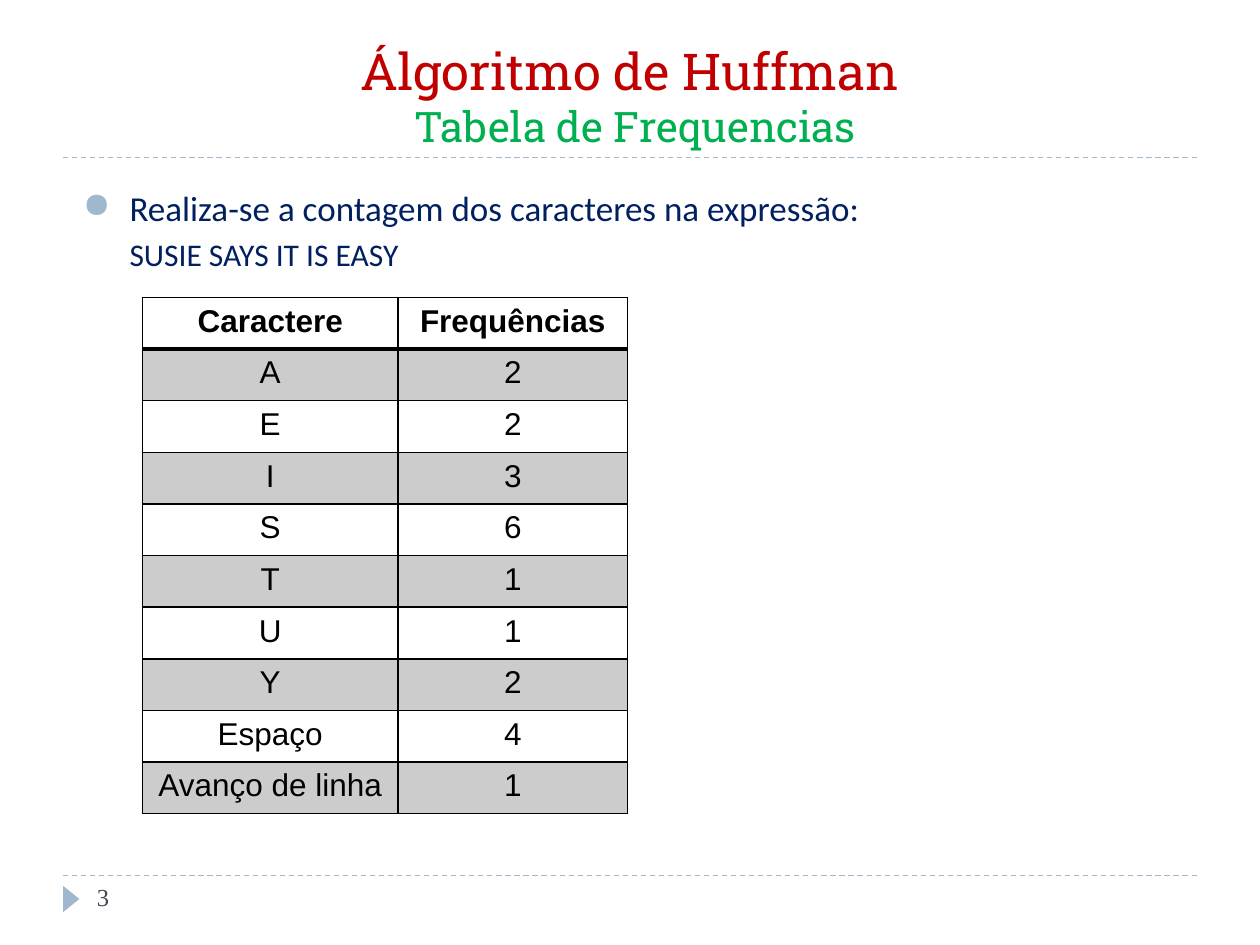
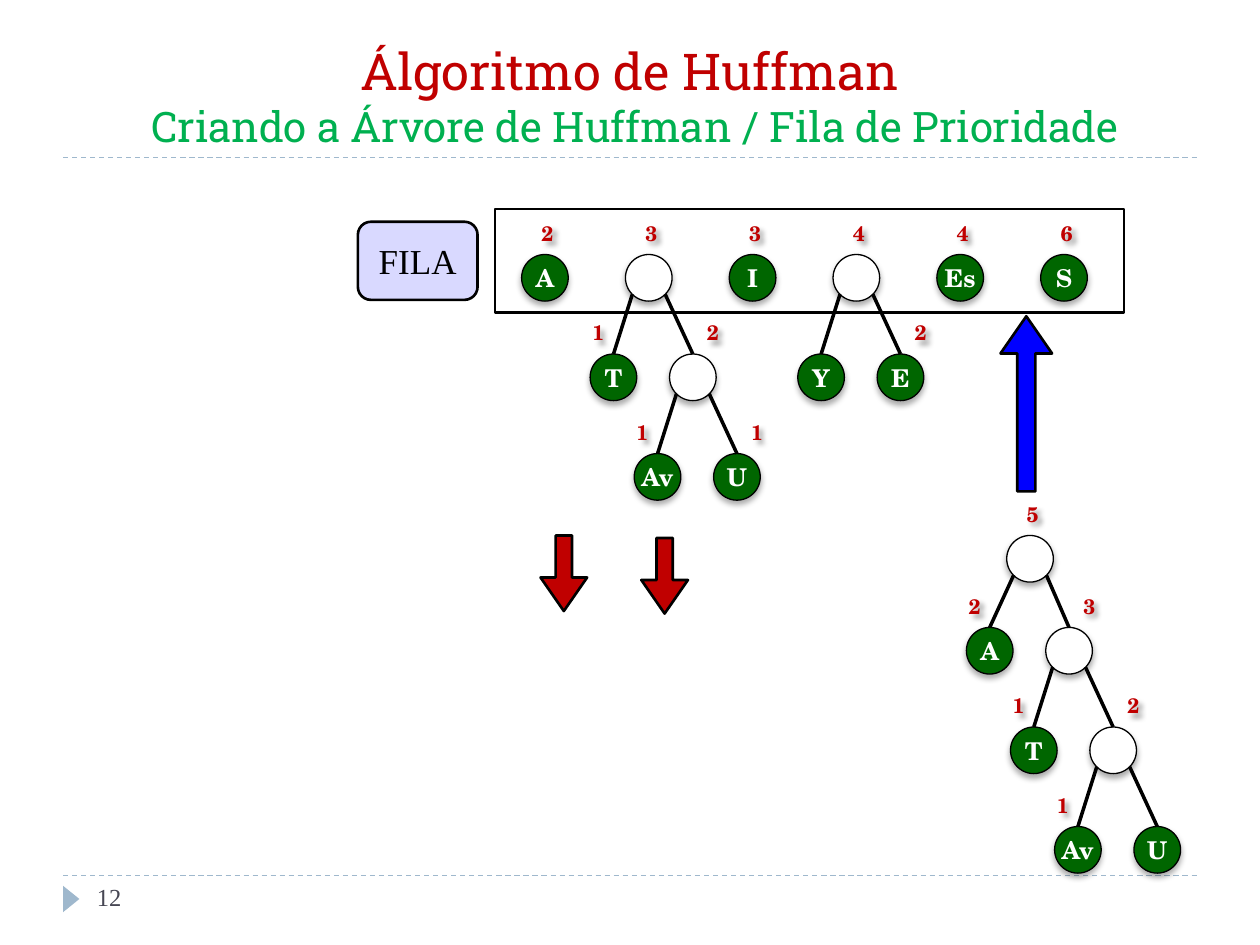
from lxml import etree
from pptx import Presentation
from pptx.dml.color import RGBColor
from pptx.enum.dml import MSO_LINE
from pptx.enum.shapes import MSO_CONNECTOR, MSO_SHAPE
from pptx.enum.text import MSO_ANCHOR, PP_ALIGN
from pptx.oxml.ns import qn
from pptx.util import Inches, Pt

STRAIGHT, DASH = MSO_CONNECTOR.STRAIGHT, MSO_LINE.DASH
RECT, OVAL, TRIANGLE = MSO_SHAPE.RECTANGLE, MSO_SHAPE.OVAL, MSO_SHAPE.ISOSCELES_TRIANGLE
DOWN_ARROW, ROUNDED = MSO_SHAPE.DOWN_ARROW, MSO_SHAPE.FLOWCHART_ALTERNATE_PROCESS
CENTER, LEFT, JUSTIFY = PP_ALIGN.CENTER, PP_ALIGN.LEFT, PP_ALIGN.JUSTIFY
TOP, MIDDLE, BOTTOM = MSO_ANCHOR.TOP, MSO_ANCHOR.MIDDLE, MSO_ANCHOR.BOTTOM

# Content
TITLE = "Álgoritmo de Huffman"
SUBTITLES = [" Tabela de Frequencias", " Criando a Árvore de Huffman / Fila de Prioridade"]
BODY = ["Realiza-se a contagem dos caracteres na expressão:", "SUSIE SAYS IT IS EASY"]
FREQUENCIES = [
    ("Caractere", "Frequências"), ("A", "2"), ("E", "2"), ("I", "3"), ("S", "6"),
    ("T", "1"), ("U", "1"), ("Y", "2"), ("Espaço", "4"), ("Avanço de linha", "1"),
]
# A node is (letter, weight) or (letter, weight, left child, right child)
AV_U = ("", "2", ("Av", "1"), ("U", "1"))
T_AV_U = ("", "3", ("T", "1"), AV_U)
QUEUE = [("A", "2"), T_AV_U, ("I", "3"), ("", "4", ("Y", ""), ("E", "2")),
         ("Es", "4"), ("S", "6")]
MERGED = ("", "5", ("A", "2"), ("", "3", ("T", "1"), ("", "2", ("Av", "1"), ("U", ""))))

# Style
BLACK, WHITE, GREY, RED, GREEN, ACCENT = "000000", "FFFFFF", "CCCCCC", "C00000", "00B050", "9FB8CD"
NODE_GREEN, BLUE, PALE_BLUE = "006600", "0000FF", "D9D9FF"
TITLE_FMT = dict(size=29, name="Roboto Slab", color=RED)
SUB_FMT = dict(size=24, name="Roboto Slab", color=GREEN)
NUMBER_FMT = dict(size=14, name="Times New Roman", color="464653")
BODY_FMT = dict(size=20, name="Calibri", color="002060")
CELL_FMT = dict(size=18, name="Arial", color=BLACK, bold=False)
NODE_FMT = dict(size=14, name="TeX Gyre Schola", color=WHITE, bold=True)
WEIGHT_FMT = dict(NODE_FMT, size=12, color=RED)
QUEUE_FMT = dict(size=20, name="Times New Roman", color=BLACK)

# Geometry in inches
W, H, MARGIN = 10, 7.5, 0.5
RULES = (1.25, 6.95)
NODE = 0.37
LABEL_W, LABEL_H, LABEL_UP, LABEL_OUT = 0.41, 0.3, 0.32, 0.14
LEVEL, LEFT_STEP, RIGHT_STEP = 0.79, -0.28, 0.35
QUEUE_X, QUEUE_Y = 4.14, 2.02
QUEUE_STEP = (8.26 - QUEUE_X) / (len(QUEUE) - 1)


def rgb(color):
    return RGBColor.from_string(color)


def inches(*values):
    return [Inches(v) for v in values]


def add_run(p, text, fmt):
    r = p.add_run()
    r.text = text
    for key, value in fmt.items():
        if key == "color":
            r.font.color.rgb = rgb(value)
        else:
            setattr(r.font, key, Pt(value) if key == "size" else value)


def set_frame(tf, anchor=TOP, inset=None):
    tf.word_wrap = True
    tf.vertical_anchor = anchor
    if inset is not None:
        for side in ("left", "top", "right", "bottom"):
            setattr(tf, f"margin_{side}", Inches(inset))


def add_text(shapes, at, text, fmt, align=LEFT, anchor=TOP):
    sp = shapes.add_textbox(*inches(*at))
    set_frame(sp.text_frame, anchor)
    p = sp.text_frame.paragraphs[0]
    p.alignment = align
    add_run(p, text, fmt)
    return sp


def add_shape(shapes, kind, at, fill=None, line=None, width=1.5, adj=()):
    sp = shapes.add_shape(kind, *inches(*at))
    sp.shadow.inherit = False
    if fill:
        sp.fill.solid()
        sp.fill.fore_color.rgb = rgb(fill)
    else:
        sp.fill.background()
    if line:
        sp.line.color.rgb = rgb(line)
        sp.line.width = Pt(width)
    else:
        sp.line.fill.background()
    for i, value in enumerate(adj):
        sp.adjustments[i] = value
    return sp


def add_line(shapes, start, end, color, width):
    cx = shapes.add_connector(STRAIGHT, *inches(*start, *end))
    cx.line.color.rgb = rgb(color)
    cx.line.width = Pt(width)
    etree.SubElement(cx._element.spPr, qn("a:effectLst"))
    return cx


def add_shadow(sp, alpha, blur, dist, angle):
    sp.shadow.inherit = False
    effects = sp._element.spPr.find(qn("a:effectLst"))
    shadow = etree.SubElement(effects, qn("a:outerShdw"), blurRad=str(Pt(blur)),
                              dist=str(Pt(dist)), dir=str(angle * 60000), rotWithShape="0")
    color = etree.SubElement(shadow, qn("a:srgbClr"), val=BLACK)
    etree.SubElement(color, qn("a:alpha"), val=str(alpha * 1000))


def add_border(cell, side, width):
    ln = etree.SubElement(cell._tc.get_or_add_tcPr(), qn(f"a:ln{side}"), w=str(Pt(width)))
    fill = etree.SubElement(ln, qn("a:solidFill"))
    etree.SubElement(fill, qn("a:srgbClr"), val=BLACK)


def add_base(prs, subtitle, number):
    """Slide with title, dashed rules and page marker."""
    s = prs.slides.add_slide(prs.slide_layouts[6])
    for y in RULES:
        add_line(s.shapes, (MARGIN, y), (W - MARGIN, y), ACCENT, 0.75).line.dash_style = DASH
    add_shape(s.shapes, TRIANGLE, (0.46, 7.07, 0.21, 0.13), ACCENT).rotation = 90
    title = add_text(s.shapes, (MARGIN, 0.25, W - 2 * MARGIN, 1), TITLE, TITLE_FMT, CENTER, BOTTOM)
    p = title.text_frame.paragraphs[0]
    p.add_line_break()
    add_run(p, subtitle, SUB_FMT)
    add_text(s.shapes, (0.67, RULES[1], 2.17, 0.4), number, NUMBER_FMT)
    return s


def add_body(s):
    sp = add_text(s.shapes, (0.56, 1.43, 8.94, 0.43), BODY[0], BODY_FMT, JUSTIFY)
    first = sp.text_frame.paragraphs[0]
    second = sp.text_frame.add_paragraph()
    second.alignment = JUSTIFY
    second.space_before = Pt(3.6)
    add_run(second, BODY[1], dict(BODY_FMT, size=18))
    for p, indent in ((first, -0.37), (second, 0)):
        pPr = p._p.get_or_add_pPr()
        pPr.set("marL", str(Inches(0.37)))
        pPr.set("indent", str(Inches(indent)))
    pPr = first._p.get_or_add_pPr()
    color = etree.SubElement(pPr, qn("a:buClr"))
    etree.SubElement(color, qn("a:srgbClr"), val=ACCENT)
    etree.SubElement(pPr, qn("a:buChar"), char="●")


def add_frequencies(s):
    widths, row_h = (2.03, 1.82), 0.41
    rows = len(FREQUENCIES)
    table = s.shapes.add_table(rows, len(widths), *inches(1.13, 2.36, sum(widths), rows * row_h)).table
    for column, width in zip(table.columns, widths):
        column.width = Inches(width)
    for i, values in enumerate(FREQUENCIES):
        table.rows[i].height = Inches(row_h)
        for j, value in enumerate(values):
            cell = table.cell(i, j)
            for side in "LRTB":
                header_rule = (i, side) in ((0, "B"), (1, "T"))
                add_border(cell, side, 2 if header_rule else 1)
            cell.fill.solid()
            cell.fill.fore_color.rgb = rgb(GREY if i % 2 else WHITE)
            p = cell.text_frame.paragraphs[0]
            p.alignment = CENTER
            add_run(p, value, dict(CELL_FMT, bold=i == 0))


def add_node(shapes, node, x, y, label_dx=0, steps=(LEFT_STEP, RIGHT_STEP), level=LEVEL):
    """Draw a node, its weight and its subtree; return the circle."""
    letter, weight, *children = node
    sp = add_shape(shapes, OVAL, (x, y, NODE, NODE), NODE_GREEN if letter else WHITE, BLACK, 0.75)
    add_shadow(sp, 32, 3.5, 2.2, 90)
    if letter:
        tf = sp.text_frame
        set_frame(tf, MIDDLE, 0)
        tf.word_wrap = False
        tf.paragraphs[0].alignment = CENTER
        add_run(tf.paragraphs[0], letter, NODE_FMT)
    if weight:
        at = (x + label_dx, y - LABEL_UP, LABEL_W, LABEL_H)
        add_shadow(add_text(shapes, at, weight, WEIGHT_FMT, CENTER, MIDDLE), 40, 3, 3, 45)
    for side, step, child in zip((-1, 1), steps, children):
        child_x, child_y = x + step, y + level
        circle = add_node(shapes, child, child_x, child_y, side * LABEL_OUT)
        middle = NODE / 2
        corner = 0.13
        edge = add_line(shapes, (child_x + middle, child_y),
                        (x + middle + side * corner, y + middle + corner), BLACK, 2)
        edge.begin_connect(circle, 0)
    return sp


def add_queue(s):
    add_shape(s.shapes, RECT, (3.93, 1.66, 4.99, 0.82), None, BLACK)
    for i, node in enumerate(QUEUE):
        shapes = s.shapes.add_group_shape().shapes if len(node) > 2 else s.shapes
        add_node(shapes, node, QUEUE_X + i * QUEUE_STEP, QUEUE_Y)
    add_node(s.shapes.add_group_shape().shapes, MERGED, 7.99, 4.25, 0, (-0.32, 0.31), 0.73)

    # Arrows out of and back into the queue
    for at, color, turn in (((4.29, 4.25, 0.37, 0.6), RED, 0), ((5.09, 4.27, 0.37, 0.6), RED, 0),
                            ((7.94, 2.51, 0.41, 1.39), BLUE, 180)):
        add_shape(s.shapes, DOWN_ARROW, at, color, BLACK, adj=(0.35, 0.72)).rotation = turn

    # Queue name
    tf = add_shape(s.shapes, ROUNDED, (2.84, 1.76, 0.95, 0.62), PALE_BLUE, BLACK).text_frame
    set_frame(tf, MIDDLE)
    tf.paragraphs[0].alignment = CENTER
    add_run(tf.paragraphs[0], "FILA", QUEUE_FMT)


def main():
    prs = Presentation()
    prs.slide_width, prs.slide_height = inches(W, H)
    s = add_base(prs, SUBTITLES[0], "3")
    add_frequencies(s)
    add_body(s)
    add_queue(add_base(prs, SUBTITLES[1], "12"))
    prs.save("out.pptx")


if __name__ == "__main__":
    main()
